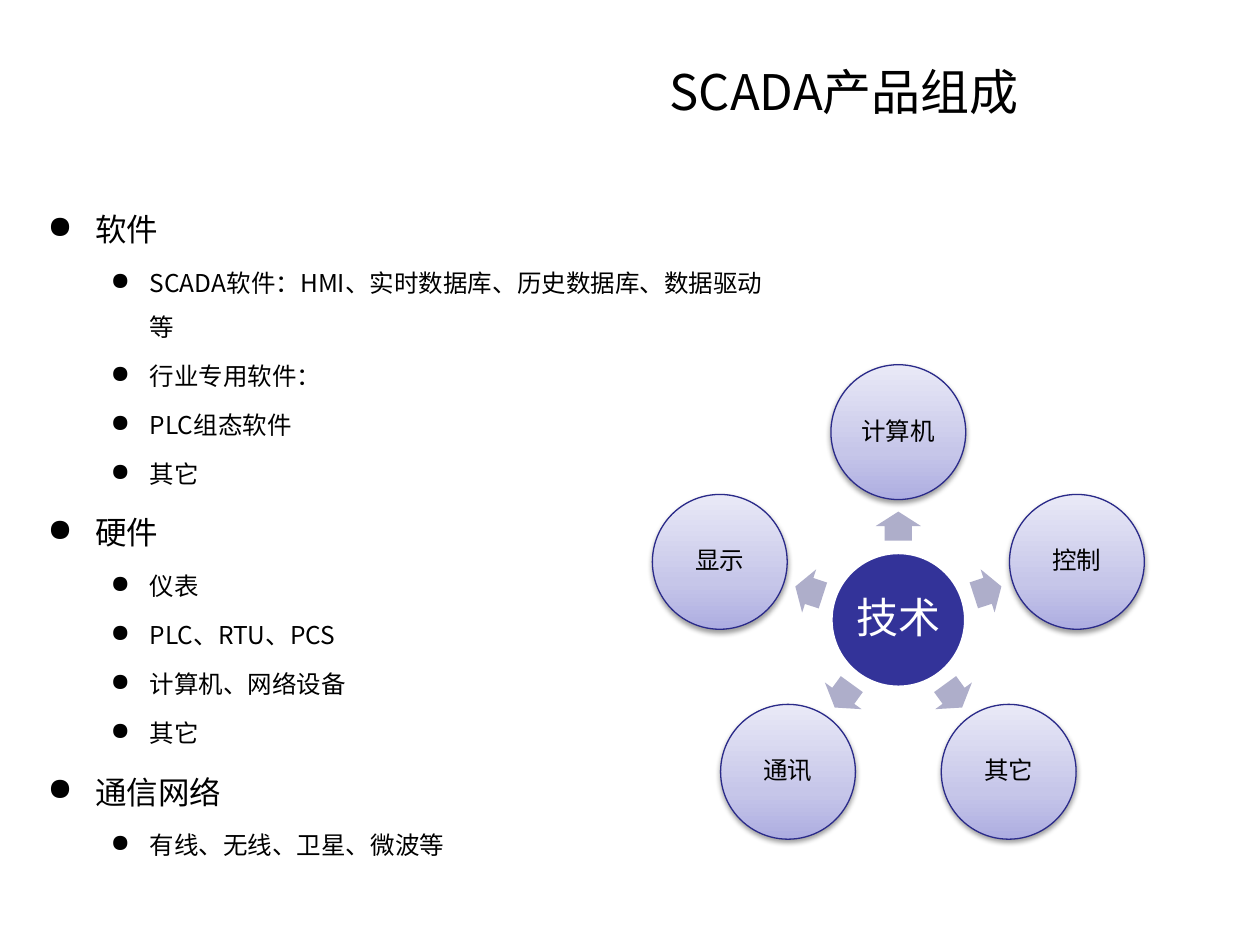
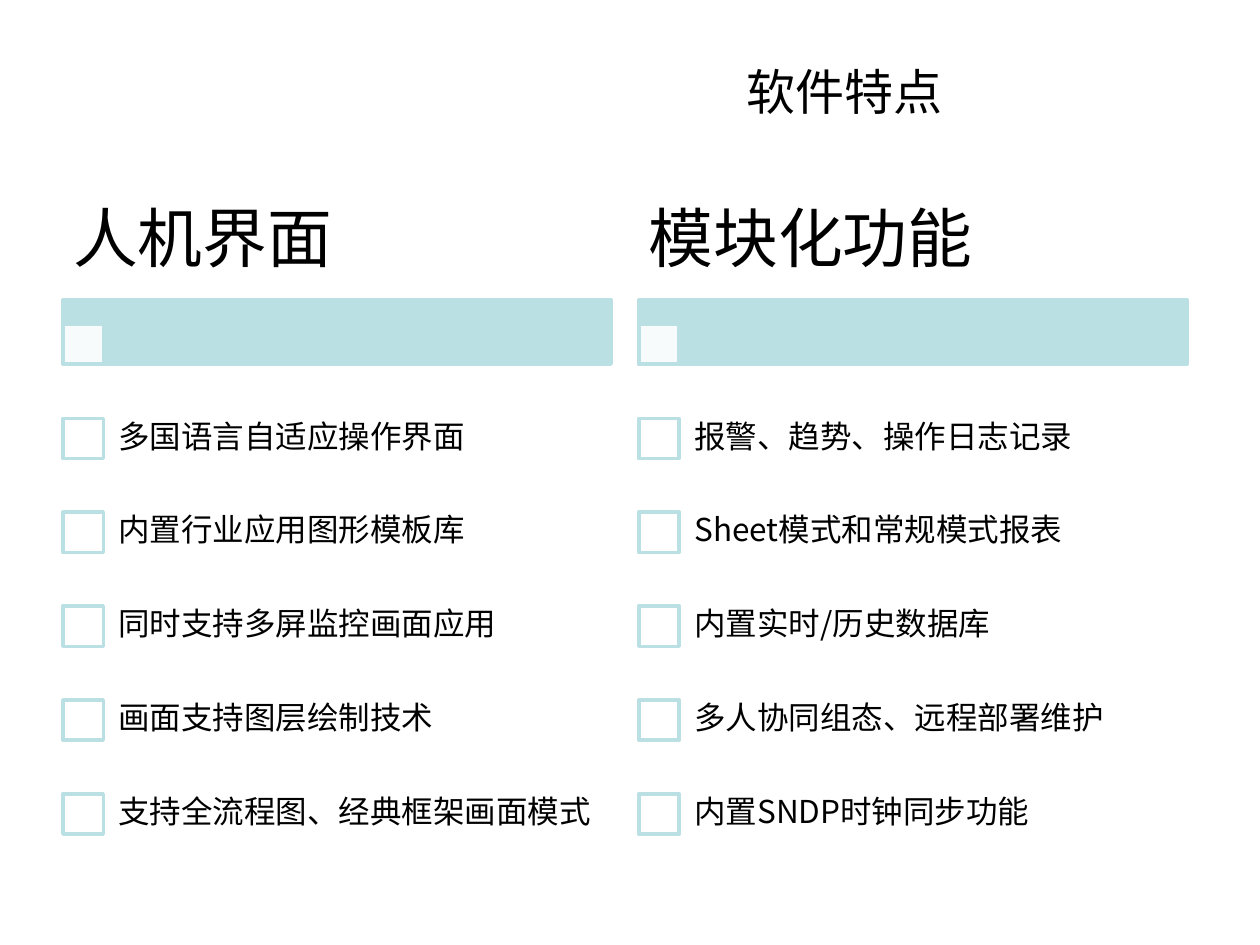
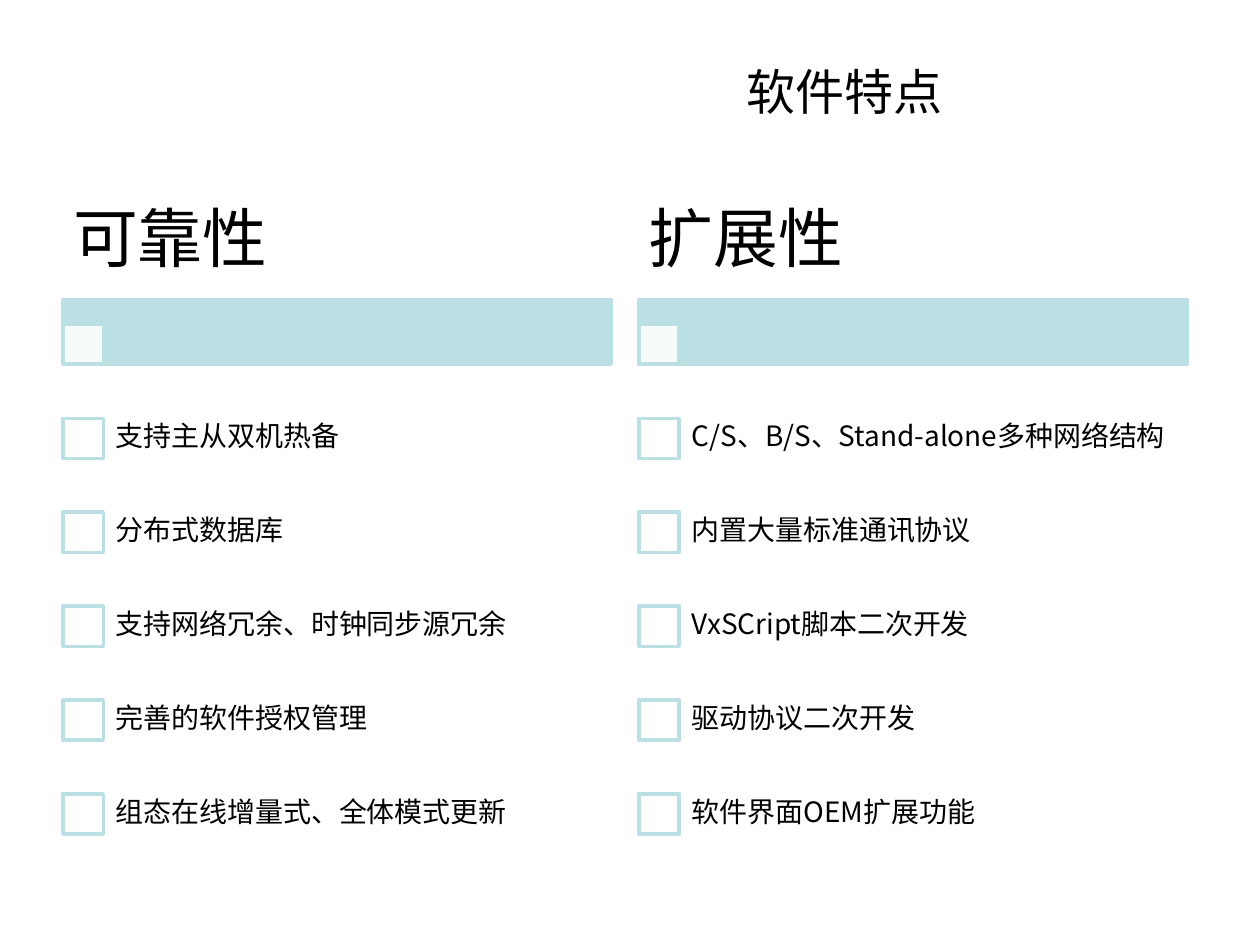
from math import cos, radians, sin

from lxml import etree
from pptx import Presentation
from pptx.dml import color
from pptx.enum import shapes, text
from pptx.oxml import ns
from pptx.util import Inches, Pt

FONT = "Noto Sans CJK SC"
BLACK, WHITE = "000000", "FFFFFF"
NAVY, EDGE, ARROW, TEAL = "333399", "2A2A89", "AEAECA", "BBE0E3"
GLOW = [(0, "ADADE1"), (35, "C6C6E9"), (100, "E9E9F7")]
LEFT, CENTER = text.PP_ALIGN.LEFT, text.PP_ALIGN.CENTER
TOP, MIDDLE = text.MSO_ANCHOR.TOP, text.MSO_ANCHOR.MIDDLE
KIND = shapes.MSO_SHAPE

PARTS = [
    ("软件", ["SCADA软件：HMI、实时数据库、历史数据库、数据驱动等",
            "行业专用软件：", "PLC组态软件", "其它"]),
    ("硬件", ["仪表", "PLC、RTU、PCS", "计算机、网络设备", "其它"]),
    ("通信网络", ["有线、无线、卫星、微波等"]),
]
FIELDS = ["计算机", "控制", "其它", "通讯", "显示"]
FACE = [
    ("人机界面", ["多国语言自适应操作界面", "内置行业应用图形模板库",
              "同时支持多屏监控画面应用", "画面支持图层绘制技术",
              "支持全流程图、经典框架画面模式"]),
    ("模块化功能", ["报警、趋势、操作日志记录", "Sheet模式和常规模式报表",
               "内置实时/历史数据库", "多人协同组态、远程部署维护",
               "内置SNDP时钟同步功能"]),
]
TRUST = [
    ("可靠性", ["支持主从双机热备", "分布式数据库", "支持网络冗余、时钟同步源冗余",
             "完善的软件授权管理", "组态在线增量式、全体模式更新"]),
    ("扩展性", ["C/S、B/S、Stand-alone多种网络结构", "内置大量标准通讯协议",
             "VxSCript脚本二次开发", "驱动协议二次开发", "软件界面OEM扩展功能"]),
]


def rgb(code):
    return color.RGBColor.from_string(code)


def child(node, tag, **attrs):
    """Append a drawing element with the given attributes."""
    item = etree.SubElement(node, ns.qn("a:" + tag))
    for key, value in attrs.items():
        item.set(key, str(value))
    return item


def tint(node, code, alpha):
    """Append a colour with its opacity in percent."""
    child(child(node, "srgbClr", val=code), "alpha", val=alpha * 1000)


def place(shape, x, y, w, h):
    shape.left, shape.top = Inches(x), Inches(y)
    shape.width, shape.height = Inches(w), Inches(h)


def write(para, words, size, ink=BLACK, align=LEFT, lines=None):
    run = para.add_run()
    run.text = words
    run.font.size, run.font.name = Pt(size), FONT
    run.font.color.rgb = rgb(ink)
    child(run.font._element, "ea", typeface=FONT)
    para.alignment = align
    if lines:
        para.line_spacing = lines


def setup(shape, pad=(0.1, 0.05), anchor=MIDDLE):
    """Give the text frame wrapping, insets and an anchor."""
    frame = shape.text_frame
    frame.word_wrap, frame.vertical_anchor = True, anchor
    frame.margin_left = frame.margin_right = Inches(pad[0])
    frame.margin_top = frame.margin_bottom = Inches(pad[1])
    return frame


def label(slide, words, x, y, w, h, pad, size):
    box = slide.shapes.add_textbox(Inches(x), Inches(y), Inches(w), Inches(h))
    write(setup(box, pad).paragraphs[0], words, size, lines=0.9)


def draw(slide, kind, x, y, w, h, fill, line=None, width=2):
    shape = slide.shapes.add_shape(kind, Inches(x), Inches(y), Inches(w), Inches(h))
    shape.shadow.inherit = False
    shape.fill.solid()
    shape.fill.fore_color.rgb = rgb(fill)
    if line:
        shape.line.color.rgb = rgb(line)
        shape.line.width = Pt(width)
    else:
        shape.line.fill.background()
    return shape


def shade(shape):
    """Set the rising gradient and the soft drop shadow."""
    shape.fill.gradient()
    shape.fill.gradient_angle = 90
    props = shape._element.spPr
    stops = props.find(".//" + ns.qn("a:gsLst"))
    for stop in list(stops):
        stops.remove(stop)
    for pos, code in GLOW:
        child(child(stops, "gs", pos=pos * 1000), "srgbClr", val=code)
    drop = child(props.find(ns.qn("a:effectLst")), "outerShdw", blurRad=Pt(3.1),
                 dist=Pt(1.6), dir=90 * 60000, rotWithShape=0)
    tint(drop, BLACK, 38)


def disc(slide, words, x, y, size, fill, line, width, ink=BLACK, pad=0.02):
    """Draw a labelled circle around the point x, y."""
    d = 1.07
    shape = draw(slide, KIND.OVAL, x - d / 2, y - d / 2, d, d, fill, line, width)
    write(setup(shape, (pad, pad)).paragraphs[0], words, size, ink, CENTER, 0.9)
    return shape


def wheel(slide, x, y, hub, names):
    """Draw a hub with arrows to a ring of circles."""
    reach, w, h = 1.49, 0.23, 0.36
    disc(slide, hub, x, y, 24, NAVY, WHITE, 2, WHITE, 0.03)
    for i, name in enumerate(names):
        turn = 360 * i / len(names) - 90
        dx, dy = reach * cos(radians(turn)), reach * sin(radians(turn))
        arrow = draw(slide, KIND.RIGHT_ARROW, x + dx / 2 - w / 2,
                     y + dy / 2 - h / 2, w, h, ARROW)
        arrow.adjustments[0], arrow.adjustments[1] = 0.6, 0.5
        arrow.rotation = turn % 360
        shade(disc(slide, name, x + dx, y + dy, 14, WHITE, EDGE, 0.75))


def outline(slide, parts, x, y, w, h):
    """Write the two-level bulleted list."""
    box = slide.shapes.add_textbox(Inches(x), Inches(y), Inches(w), Inches(h))
    frame = setup(box, anchor=TOP)
    rows = []
    for head, items in parts:
        rows += [(head, 0)] + [(item, 1) for item in items]
    for i, (words, level) in enumerate(rows):
        para = frame.add_paragraph() if i else frame.paragraphs[0]
        size, left, hang = [(18, 0.38, 0.38), (14, 0.81, 0.31)][level]
        para.level = level
        props = para._p.get_or_add_pPr()
        props.set("marL", str(Inches(left)))
        props.set("indent", str(-Inches(hang)))
        child(props, "buChar", char="●")
        write(para, words, size, lines=1.5)
        if i:
            para.space_before = Pt(size * 0.2)


def column(slide, x, head, items, size, pad):
    """Draw a heading, its band and the checklist below."""
    side, step = 0.32, (6.3 - 3.32) / 4
    draw(slide, KIND.RECTANGLE, x, 2.38, 4.35, 0.51, TEAL, TEAL)
    mark = draw(slide, KIND.RECTANGLE, x, 2.57, side, side, WHITE, TEAL)
    paint = mark._element.spPr.find(ns.qn("a:solidFill"))
    paint.remove(paint[0])
    tint(paint, WHITE, 90)
    label(slide, head, x, 1.46, 4.35, 0.92, (0.08, 0.05), 37)
    for i, item in enumerate(items):
        draw(slide, KIND.RECTANGLE, x, 3.32 + i * step, side, side, WHITE, TEAL)
        label(slide, item, x + 0.3, 3.1 + i * step, 4.05, 0.75, (pad, pad), size)


def begin(deck, words):
    """Add a slide with its title."""
    slide = deck.slides.add_slide(deck.slide_layouts[5])
    title = slide.shapes.title
    place(title, 3.9, 0.38, 5.6, 0.69)
    write(setup(title).paragraphs[0], words, 28, align=CENTER)
    return slide


def main():
    deck = Presentation()
    deck.slide_width, deck.slide_height = Inches(10), Inches(7.5)
    slide = begin(deck, "SCADA产品组成")
    outline(slide, PARTS, 0.28, 1.47, 6.06, 5.59)
    wheel(slide, 7.13, 4.92, "技术", FIELDS)
    for lists, size, pad in [(FACE, 18, 0.14), (TRUST, 16, 0.12)]:
        slide = begin(deck, "软件特点")
        for x, (head, items) in zip((0.5, 5.07), lists):
            column(slide, x, head, items, size, pad)
    deck.save("out.pptx")


if __name__ == "__main__":
    main()
